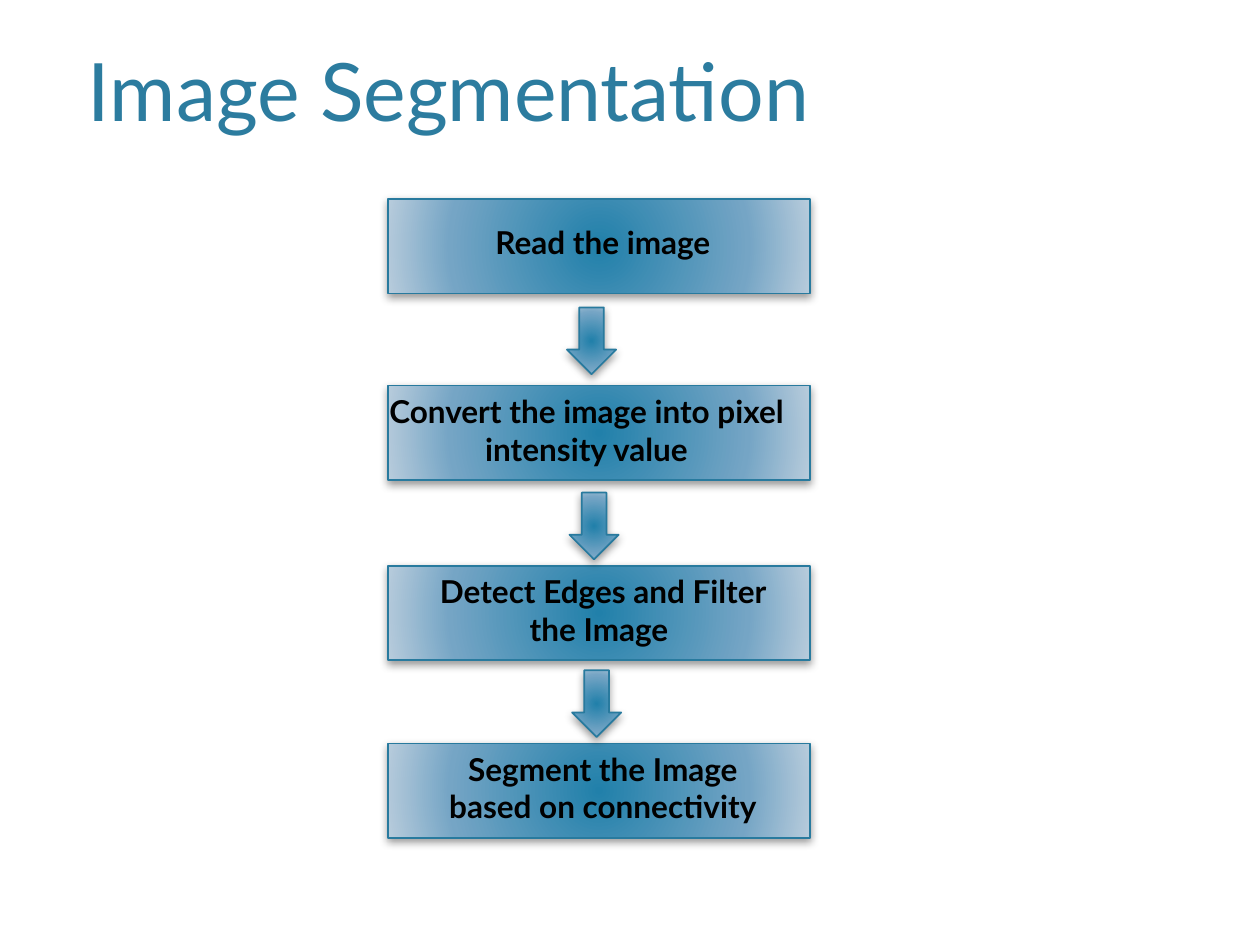
from lxml import etree
from pptx import Presentation
from pptx import util as u
from pptx.dml.color import RGBColor
from pptx.enum import shapes, text
from pptx.oxml import parse_xml
from pptx.oxml.ns import nsdecls, qn

COLORS = {"title": "2C7C9F", "text": "000000", "line": "287A9E",
          "core": "2180AA", "mid": "75A5C5", "rim": "B8CCDC"}
STOPS = [(0, "core"), (69, "mid"), (100, "rim")]
KINDS = shapes.MSO_SHAPE


def rgb(name):
    """Return a named colour."""
    return RGBColor.from_string(COLORS[name])


def write(frame, words, size=18, color="text", bold=False,
          align=text.PP_ALIGN.LEFT, anchor=text.MSO_ANCHOR.TOP):
    """Put formatted text in a frame."""
    frame.word_wrap = True
    frame.vertical_anchor = anchor
    para = frame.paragraphs[0]
    para.alignment = align
    run = para.add_run()
    run.text = words
    font = run.font
    font.name, font.size, font.bold = "Lato", u.Pt(size), bold
    font.color.rgb = rgb(color)


class Chart:
    """Style and slide of the flow chart."""

    def __init__(self, slide):
        """Keep the slide to draw on."""
        self.slide = slide

    def label(self, words, left, top, width, height, **style):
        """Add a text box."""
        box = self.slide.shapes.add_textbox(
            *map(u.Inches, (left, top, width, height)))
        write(box.text_frame, words, **style)

    def block(self, kind, left, top, width, height):
        """Add a shape with a round gradient and a soft shadow."""
        shape = self.slide.shapes.add_shape(
            kind, *map(u.Inches, (left, top, width, height)))
        shape.line.color.rgb = rgb("line")
        shape.line.width = u.Pt(1)
        shape.fill.solid()
        shape.shadow.inherit = False
        self.shade(shape.element.spPr)

    def shade(self, props):
        """Set the gradient and the shadow in XML."""
        stops = "".join(
            f'<a:gs pos="{pos * 1000}"><a:srgbClr val="{COLORS[name]}"/></a:gs>'
            for pos, name in STOPS)
        fill = parse_xml(
            f'<a:gradFill {nsdecls("a")} rotWithShape="1"><a:gsLst>{stops}</a:gsLst>'
            '<a:path path="circle"><a:fillToRect l="100000" t="100000" '
            'r="100000" b="100000"/></a:path></a:gradFill>')
        props.replace(props.find(qn("a:solidFill")), fill)
        glow = etree.SubElement(
            props.find(qn("a:effectLst")), qn("a:outerShdw"),
            blurRad=str(u.Pt(5)), dist=str(u.Pt(2)), dir="5400000",
            rotWithShape="0")
        tint = etree.SubElement(glow, qn("a:srgbClr"), val="000000")
        etree.SubElement(tint, qn("a:alpha"), val="40000")


# Step top, label left, label top, label width, label height, words
STEPS = [
    (1.58, 3.37, 1.72, 2.83, 0.4, "Read the image"),
    (3.06, 2.92, 3.06, 3.47, 0.71,
     "Convert the image into pixel intensity value"),
    (4.49, 3.37, 4.49, 2.83, 0.71, "Detect Edges and Filter the Image "),
    (5.9, 3.37, 5.9, 2.83, 0.71, "Segment the Image based on connectivity"),
]
ARROWS = [(4.5, 2.44), (4.52, 3.91), (4.54, 5.32)]


def main():
    """Build and save the slide."""
    deck = Presentation()
    deck.slide_width, deck.slide_height = u.Inches(10), u.Inches(7.5)
    chart = Chart(deck.slides.add_slide(deck.slide_layouts[6]))
    chart.label("Image Segmentation", 0.6, -0.32, 8.8, 1.46, size=46,
                color="title", anchor=text.MSO_ANCHOR.BOTTOM)
    for top, left, y, width, height, words in STEPS:
        chart.block(KINDS.RECTANGLE, 3.08, top, 3.35, 0.75)
        chart.label(words, left, y, width, height, bold=True,
                    align=text.PP_ALIGN.CENTER)
    for left, top in ARROWS:
        chart.block(KINDS.DOWN_ARROW, left, top, 0.39, 0.53)
    deck.save("out.pptx")


main()
